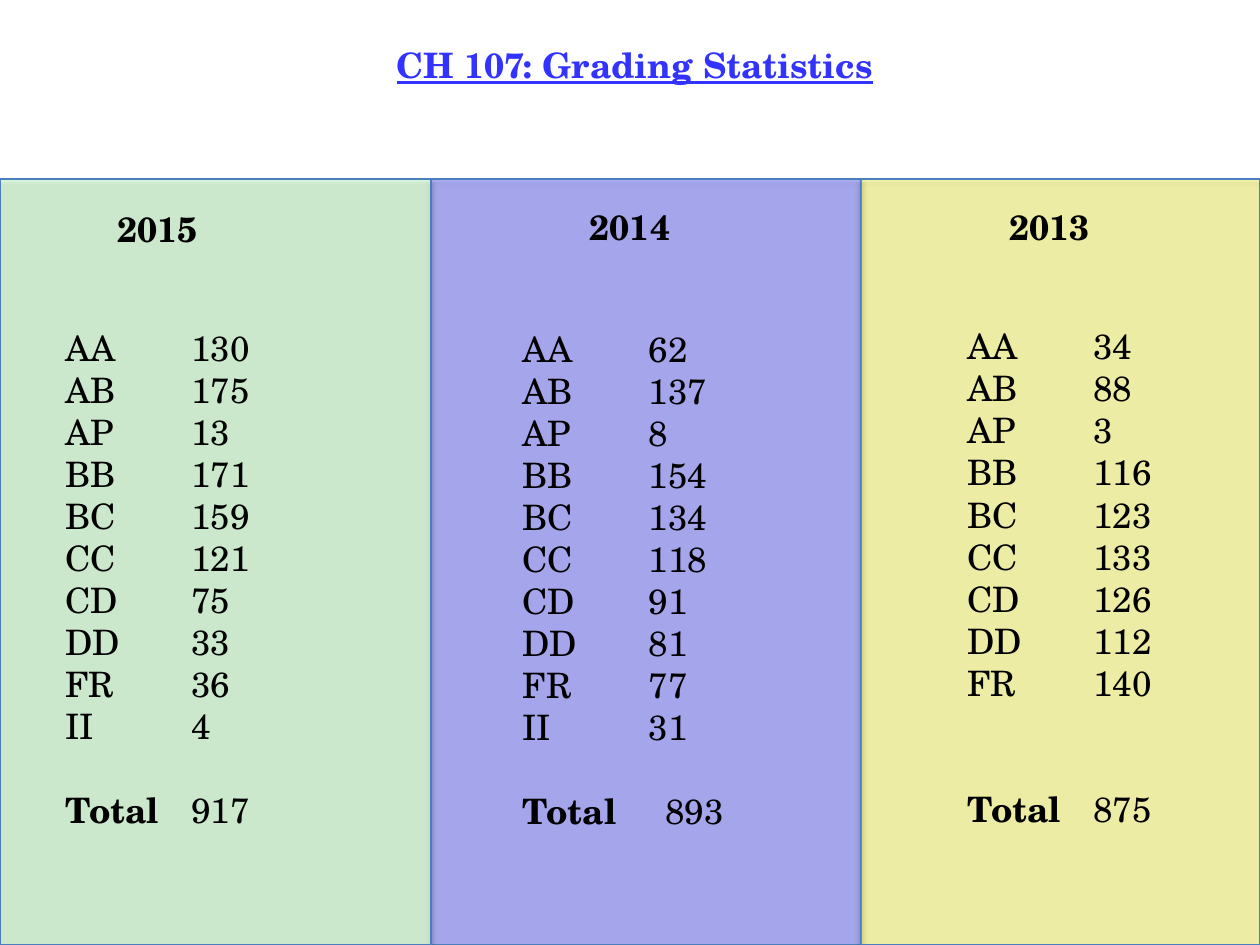
from dataclasses import dataclass

from lxml.etree import SubElement
from pptx import Presentation
from pptx.dml.color import RGBColor
from pptx.enum.shapes import MSO_SHAPE
from pptx.enum.text import MSO_AUTO_SIZE, PP_ALIGN
from pptx.oxml import parse_xml
from pptx.oxml.ns import qn
from pptx.util import Inches, Pt

TITLE = "CH 107: Grading Statistics"
GRADES = ["AA", "AB", "AP", "BB", "BC", "CC", "CD", "DD", "FR", "II"]
TOTAL_ROW = 11  # totals line up below the longest list and one empty line

# Panel is (left, width); heading and list are (left, top, width, height)
YEARS = [
    dict(year="2015", counts=[130, 175, 13, 171, 159, 121, 75, 33, 36, 4], total=917,
         color="CCFFCC", opacity=55, panel=(0, 3.42), total_tab=1,
         heading=(0.75, 1.6, 1, 0.44), list=(0.42, 2.54, 2.5, 4.14)),
    dict(year="2014", counts=[62, 137, 8, 154, 134, 118, 91, 81, 77, 31], total=893,
         color="0000FF", opacity=28, panel=(3.42, 3.42), total_tab=1.13,
         heading=(4.5, 1.58, 1, 0.44), list=(4.05, 2.55, 1.92, 4.14)),
    dict(year="2013", counts=[34, 88, 3, 116, 123, 133, 126, 112, 140], total=875,
         color="FFFF00", opacity=28, panel=(6.83, 3.17), total_tab=1,
         heading=(7.83, 1.58, 1, 0.44), list=(7.58, 2.53, 1.92, 4.14)),
]
PANEL_TOP, PANEL_HEIGHT = 1.42, 6.08


@dataclass(frozen=True)
class Theme:
    font: str = "TeX Gyre Schola"
    size: int = 20
    line_pitch: int = 24
    text: str = "000000"
    title: str = "3333FF"
    outline: str = "4B7EBC"


THEME = Theme()
SHADOW = (
    '<a:effectLst xmlns:a="http://schemas.openxmlformats.org/drawingml/2006/main">'
    '<a:outerShdw blurRad="39370" dist="22860" dir="5400000" rotWithShape="0">'
    '<a:srgbClr val="000000"><a:alpha val="35000"/></a:srgbClr>'
    '</a:outerShdw></a:effectLst>'
)


def add_panel(slide, entry):
    """Add a translucent, softly shadowed column background."""
    left, width = entry["panel"]
    shape = slide.shapes.add_shape(
        MSO_SHAPE.RECTANGLE, Inches(left), Inches(PANEL_TOP), Inches(width), Inches(PANEL_HEIGHT))
    shape.fill.solid()
    shape.fill.fore_color.rgb = RGBColor.from_string(entry["color"])
    properties = shape._element.spPr
    color = properties.find(qn("a:solidFill")).find(qn("a:srgbClr"))
    SubElement(color, qn("a:alpha"), val=str(entry["opacity"] * 1000))
    shape.line.color.rgb = RGBColor.from_string(THEME.outline)
    shape.line.width = Pt(0.75)
    properties.append(parse_xml(SHADOW))


def add_text_frame(slide, box):
    frame = slide.shapes.add_textbox(*map(Inches, box)).text_frame
    frame.word_wrap = True
    frame.auto_size = MSO_AUTO_SIZE.SHAPE_TO_FIT_TEXT
    return frame


def add_run(paragraph, text, color=THEME.text, bold=False, underline=False):
    run = paragraph.add_run()
    run.text = text
    run.font.name = THEME.font
    run.font.size = Pt(THEME.size)
    run.font.color.rgb = RGBColor.from_string(color)
    run.font.bold = bold
    run.font.underline = underline


def add_heading(slide, box, text, **style):
    paragraph = add_text_frame(slide, box).paragraphs[0]
    paragraph.alignment = PP_ALIGN.CENTER
    add_run(paragraph, text, bold=True, **style)


def set_tab(paragraph, position):
    tabs = SubElement(paragraph._p.get_or_add_pPr(), qn("a:tabLst"))
    SubElement(tabs, qn("a:tab"), pos=str(Inches(position)), algn="l")


def add_grade_list(slide, entry):
    frame = add_text_frame(slide, entry["list"])
    for index, (grade, count) in enumerate(zip(GRADES, entry["counts"])):
        paragraph = frame.add_paragraph() if index else frame.paragraphs[0]
        set_tab(paragraph, 1)
        add_run(paragraph, f"{grade}\t{count}")

    paragraph = frame.add_paragraph()
    paragraph.space_before = Pt((TOTAL_ROW - len(entry["counts"])) * THEME.line_pitch)
    set_tab(paragraph, entry["total_tab"])
    add_run(paragraph, "Total", bold=True)
    add_run(paragraph, f"\t{entry['total']}")


def main():
    presentation = Presentation()
    presentation.slide_width, presentation.slide_height = Inches(10), Inches(7.5)
    slide = presentation.slides.add_slide(presentation.slide_layouts[6])

    for entry in YEARS[1:] + YEARS[:1]:  # the first year's panel lies on top
        add_panel(slide, entry)
    for entry in YEARS:
        add_grade_list(slide, entry)
    for entry in YEARS:
        add_heading(slide, entry["heading"], entry["year"])
    add_heading(slide, (1.16, 0.3, 7.76, 0.44), TITLE, color=THEME.title, underline=True)

    presentation.save("out.pptx")


if __name__ == "__main__":
    main()
